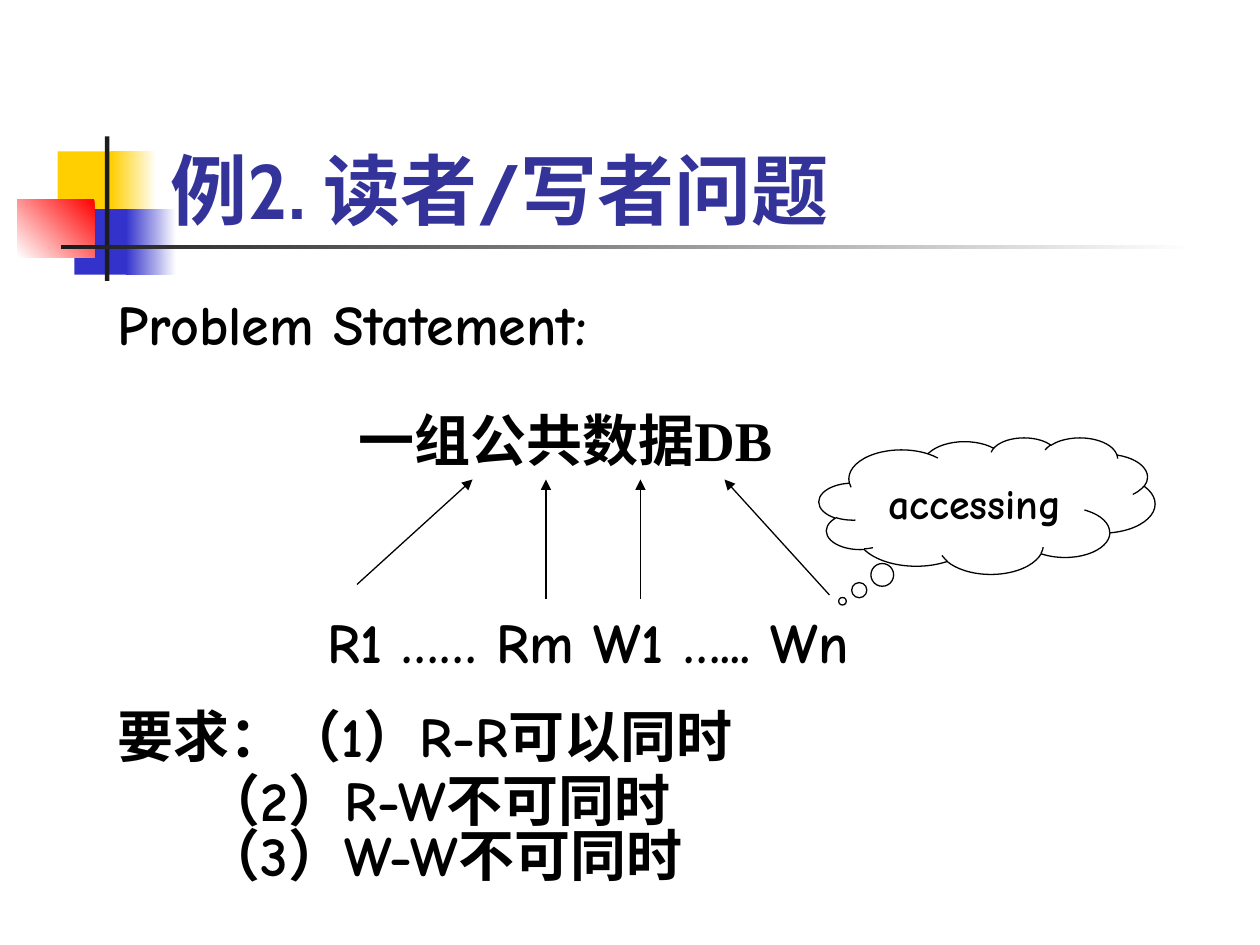
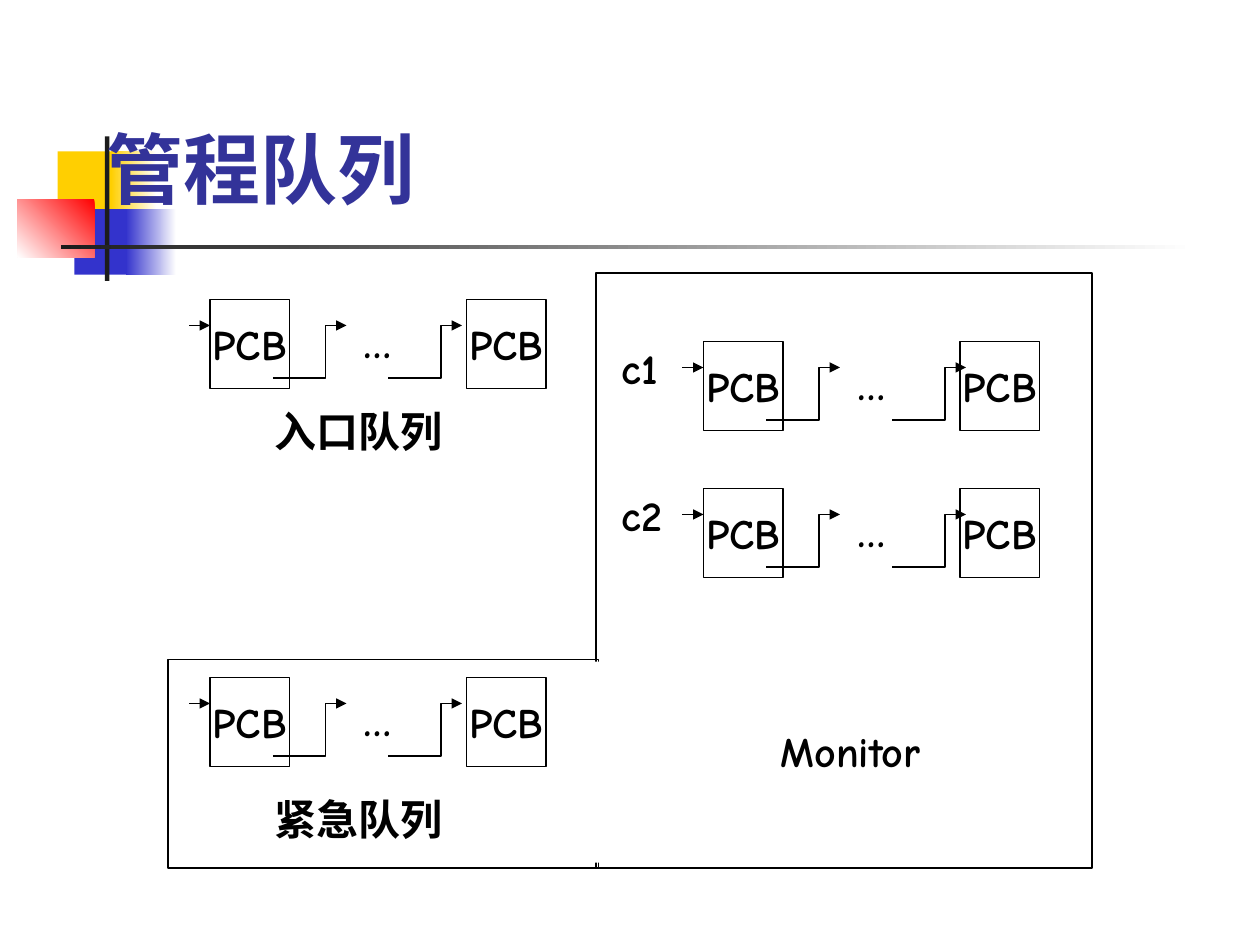
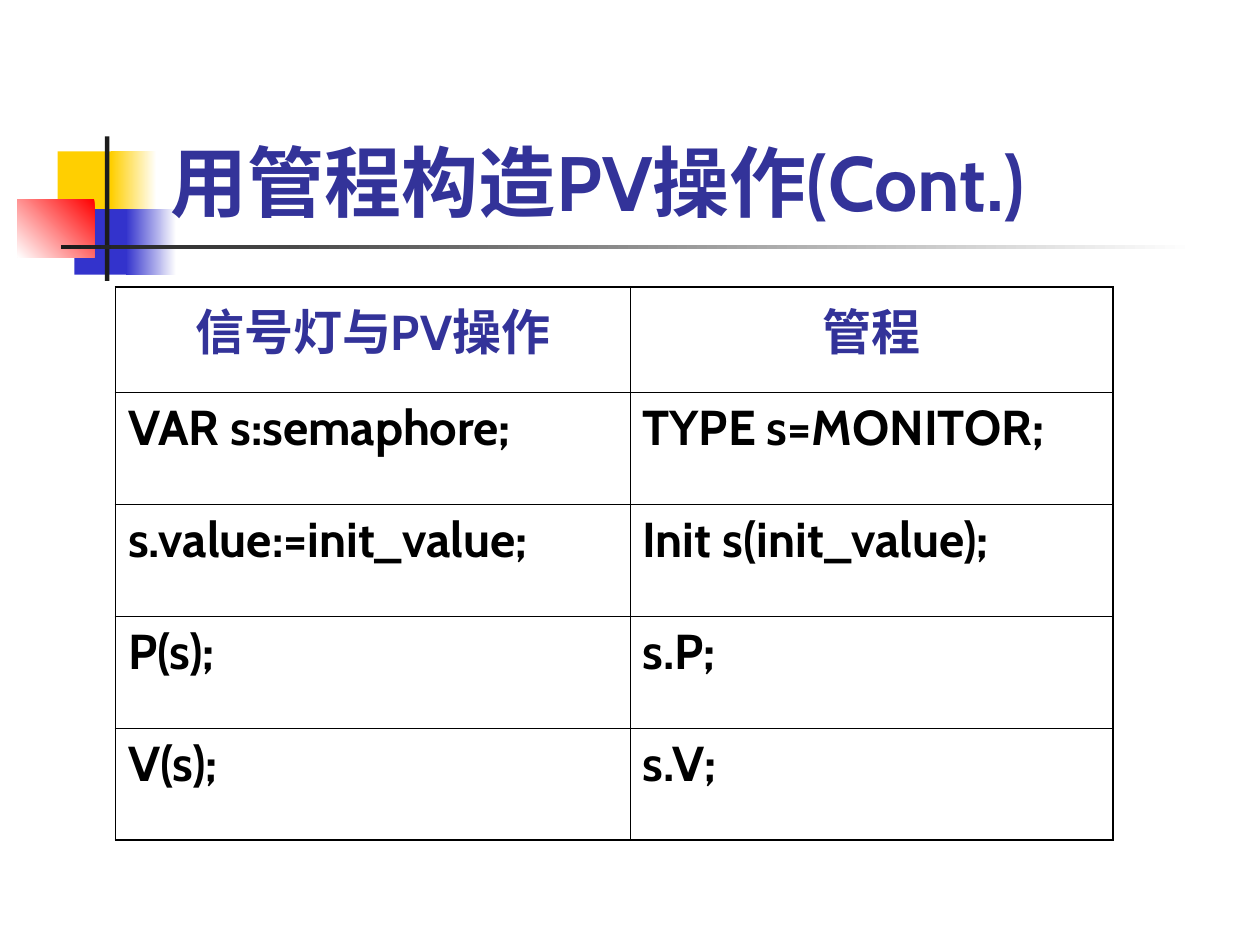
"""Builds three slides on readers/writers, monitor queues and PV operations."""
from dataclasses import dataclass
from typing import Any, Optional

from lxml.etree import SubElement
from pptx import Presentation
from pptx.dml.color import RGBColor
from pptx.enum.shapes import MSO_CONNECTOR, MSO_SHAPE
from pptx.enum.text import MSO_ANCHOR, PP_ALIGN
from pptx.oxml.ns import qn
from pptx.util import Pt


@dataclass(frozen=True)
class Theme:
    """Colours, fonts, type sizes and line widths of the deck."""
    black: str = "000000"
    white: str = "FFFFFF"
    ink: str = "1C1C1C"
    title: str = "333399"
    yellow: str = "FFCF01"
    blue: str = "3333CC"
    red: str = "FF0000"
    heading_font: str = "Cabin"
    body_font: str = "Comic Neue"
    serif_font: str = "Times New Roman"
    title_size: float = 44
    body_size: float = 32
    table_size: float = 28
    label_size: float = 24
    line_width: float = 0.75
    outer_border: float = 1.08
    inner_border: float = 0.45


@dataclass(frozen=True)
class Area:
    """A rectangle in points."""
    left: float
    top: float
    width: float
    height: float

    def lengths(self) -> list[Pt]:
        """Return the four lengths for a shape call."""
        return [Pt(self.left), Pt(self.top), Pt(self.width), Pt(self.height)]


@dataclass(frozen=True)
class Block:
    """A filled rectangle of the title ornament."""
    area: Area
    start: str
    end: Optional[str] = None
    angle: float = 180


@dataclass(frozen=True)
class Line:
    """One body paragraph with its spans of text and font."""
    spans: list[tuple[str, str]]
    indent: float = 0
    before: float = 20
    spacing: float = 1.0


@dataclass(frozen=True)
class Queue:
    """A chain of process control blocks."""
    left: float
    top: float
    second_link: float


THEME = Theme()
ORNAMENT = [
    Block(Area(33, 86.5, 34.5, 37.5), THEME.yellow),
    Block(Area(63.5, 86.5, 26, 37.5), THEME.white, THEME.yellow),
    Block(Area(42.5, 119.5, 33, 37.5), THEME.blue),
    Block(Area(72, 119.5, 28.8, 37.5), THEME.white, THEME.blue),
    Block(Area(10, 113.75, 44, 33.25), THEME.red, THEME.white, 225),
    Block(Area(60, 78, 2.5, 82.5), THEME.ink),
    Block(Area(34.75, 140.25, 648, 2.25), THEME.white, THEME.ink),
]
BODY_LINES = [
    Line([("Problem Statement:", THEME.body_font)], before=0),
    Line([("一组公共数据DB", THEME.serif_font)], indent=137.5, spacing=1.2),
    Line([("R1 …… Rm W1 …... Wn", THEME.body_font)], indent=120, before=77),
    Line([("要求", THEME.serif_font), ("：（1）R-R可以同时", THEME.body_font)], spacing=0.9),
    Line([("（2）R-W不可同时", THEME.body_font)], indent=50, spacing=0.3),
    Line([("（3）W-W不可同时", THEME.body_font)], indent=50, spacing=0.3),
]
ACCESS_ARROWS = [
    (204, 334, 270, 274),
    (312, 342, 312, 274),
    (366, 342, 366, 274),
    (474, 340, 414, 274),
]
QUEUES = [
    Queue(402, 195, 108),
    Queue(402, 279, 108),
    Queue(120, 171, 102),
    Queue(120, 387, 102),
]
QUEUE_LABELS = [
    ("c1", Area(348, 192, 42, 36)),
    ("c2", Area(348, 276, 48, 36)),
    ("入口队列", Area(150, 228, 120, 36)),
    ("紧急队列", Area(150, 450, 120, 36)),
]
TABLE_ROWS = [
    ("信号灯与PV操作", "管程"),
    ("VAR s:semaphore;", "TYPE s=MONITOR;"),
    ("s.value:=init_value;", "Init s(init_value);"),
    ("P(s);", "s.P;"),
    ("V(s);", "s.V;"),
]


def add_span(para: Any, text: str, *, font: str = THEME.body_font,
             size: float = THEME.label_size, color: str = THEME.black,
             align: PP_ALIGN = PP_ALIGN.LEFT) -> None:
    """Append bold text to a paragraph in the given format."""
    para.alignment = align
    span = para.add_run()
    span.text = text
    span.font.name = font
    span.font.size = Pt(size)
    span.font.bold = True
    span.font.color.rgb = RGBColor.from_string(color)


def add_box(page: Any, area: Area, *, wrap: bool = True,
            anchor: MSO_ANCHOR = MSO_ANCHOR.TOP) -> Any:
    """Add a text box and return its text frame."""
    frame = page.shapes.add_textbox(*area.lengths()).text_frame
    frame.word_wrap = wrap
    frame.vertical_anchor = anchor
    return frame


def add_centred(frame: Any, text: str) -> None:
    """Write a label in the middle of a frame without wrapping."""
    frame.word_wrap = False
    frame.vertical_anchor = MSO_ANCHOR.MIDDLE
    add_span(frame.paragraphs[0], text, align=PP_ALIGN.CENTER)


def style_line(shape: Any, arrow: bool = False) -> None:
    """Give a shape or connector the thin black line."""
    shape.line.color.rgb = RGBColor.from_string(THEME.black)
    shape.line.width = Pt(THEME.line_width)
    if arrow:
        SubElement(shape.element.spPr.get_or_add_ln(), qn("a:tailEnd"), type="triangle")


def add_outline(page: Any, area: Area, text: str = "",
                kind: MSO_SHAPE = MSO_SHAPE.RECTANGLE) -> Any:
    """Add an unfilled outlined shape with an optional centred label."""
    shape = page.shapes.add_shape(kind, *area.lengths())
    shape.shadow.inherit = False
    shape.fill.background()
    style_line(shape)
    if text:
        add_centred(shape.text_frame, text)
    return shape


def add_block(page: Any, block: Block) -> None:
    """Add a solid or gradient rectangle without a line."""
    shape = page.shapes.add_shape(MSO_SHAPE.RECTANGLE, *block.area.lengths())
    shape.shadow.inherit = False
    shape.line.fill.background()
    if block.end is None:
        shape.fill.solid()
        shape.fill.fore_color.rgb = RGBColor.from_string(block.start)
        return
    shape.fill.gradient()
    shape.fill.gradient_angle = block.angle
    for stop, color in zip(shape.fill.gradient_stops, (block.start, block.end)):
        stop.color.rgb = RGBColor.from_string(color)


def add_arrow(page: Any, *ends: float) -> None:
    """Add a straight arrow from the first point to the second."""
    arrow = page.shapes.add_connector(MSO_CONNECTOR.STRAIGHT, *map(Pt, ends))
    style_line(arrow, arrow=True)
    SubElement(arrow.element.spPr, qn("a:effectLst"))


def add_link(page: Any, left: float, top: float) -> None:
    """Add a stepped arrow that rises from one block to the next."""
    builder = page.shapes.build_freeform(Pt(left), Pt(top + 30))
    steps = [(30, 30), (30, 0), (42, 0)]
    builder.add_line_segments([(Pt(left + x), Pt(top + y)) for x, y in steps], close=False)
    link = builder.convert_to_shape()
    link.shadow.inherit = False
    link.fill.background()
    style_line(link, arrow=True)


def add_queue(page: Any, queue: Queue) -> None:
    """Draw two process blocks joined through an ellipsis."""
    for offset in (0, 146.5):
        add_outline(page, Area(queue.left + offset, queue.top, 45.5, 51), "PCB")
    level = queue.top + 15
    for offset in (36, queue.second_link):
        add_link(page, queue.left + offset, level)
    add_centred(add_box(page, Area(queue.left + 78, level, 36, 18)), "…")
    add_arrow(page, queue.left - 12, level, queue.left, level)


def start_page(deck: Any) -> Any:
    """Add a blank page with the shared ornament."""
    page = deck.slides.add_slide(deck.slide_layouts[6])
    for block in ORNAMENT:
        add_block(page, block)
    return page


def add_title(page: Any, text: str, area: Area) -> None:
    """Add the page title."""
    frame = add_box(page, area, anchor=MSO_ANCHOR.BOTTOM)
    add_span(frame.paragraphs[0], text, font=THEME.heading_font,
             size=THEME.title_size, color=THEME.title)


def add_body(page: Any) -> None:
    """Write the problem statement."""
    frame = add_box(page, Area(60, 162, 612, 346))
    for index, line in enumerate(BODY_LINES):
        para = frame.add_paragraph() if index else frame.paragraphs[0]
        para.line_spacing = line.spacing
        para.space_before = Pt(line.before)
        properties = para._p.get_or_add_pPr()
        properties.set("marL", str(Pt(line.indent)))
        properties.set("indent", "0")
        for text, font in line.spans:
            add_span(para, text, font=font, size=THEME.body_size)


def set_borders(cell: Any, widths: dict[str, float]) -> None:
    """Set the four border widths of a cell."""
    properties = cell._tc.get_or_add_tcPr()
    for side, width in widths.items():
        border = SubElement(properties, qn(f"a:ln{side}"), w=str(Pt(width)))
        fill = SubElement(border, qn("a:solidFill"))
        SubElement(fill, qn("a:srgbClr"), val=THEME.black)


def add_comparison(page: Any) -> None:
    """Add the table that sets semaphores beside monitors."""
    last = len(TABLE_ROWS) - 1
    area = Area(66, 164, 570, 316)
    table = page.shapes.add_table(len(TABLE_ROWS), 2, *area.lengths()).table
    table.first_row = table.horz_banding = False
    for column, width in zip(table.columns, (294, 276)):
        column.width = Pt(width)
    for row, texts in enumerate(TABLE_ROWS):
        table.rows[row].height = Pt(64 if row else 60)
        for column, text in enumerate(texts):
            cell = table.cell(row, column)
            outer = {"L": column == 0, "R": column == 1, "T": row == 0, "B": row == last}
            set_borders(cell, {side: THEME.outer_border if edge else THEME.inner_border
                               for side, edge in outer.items()})
            cell.fill.background()
            add_span(cell.text_frame.paragraphs[0], text,
                     font=THEME.heading_font, size=THEME.table_size,
                     color=THEME.black if row else THEME.title,
                     align=PP_ALIGN.LEFT if row else PP_ALIGN.CENTER)


def build_readers_writers(deck: Any) -> None:
    """Build the readers and writers page."""
    page = start_page(deck)
    add_title(page, "例2. 读者/写者问题", Area(90.5, 48, 613.5, 90))
    add_body(page)
    for ends in ACCESS_ARROWS:
        add_arrow(page, *ends)
    cloud = add_outline(page, Area(468, 250, 192, 78), "accessing", MSO_SHAPE.CLOUD_CALLOUT)
    cloud.adjustments[0] = -0.43
    cloud.adjustments[1] = 0.7


def build_monitor_queues(deck: Any) -> None:
    """Build the monitor queues page."""
    page = start_page(deck)
    add_outline(page, Area(96, 377, 246, 119))
    add_title(page, "管程队列", Area(54, 36, 612, 90))
    add_outline(page, Area(340.5, 156, 283.5, 340))
    for queue in QUEUES:
        add_queue(page, queue)
    for text, area in QUEUE_LABELS:
        add_span(add_box(page, area).paragraphs[0], text)
    add_centred(add_box(page, Area(402, 408, 168, 42)), "Monitor")
    add_block(page, Block(Area(336, 378, 12, 115), THEME.white))


def build_pv_table(deck: Any) -> None:
    """Build the page that constructs PV operations with a monitor."""
    page = start_page(deck)
    add_title(page, "用管程构造PV操作(Cont.)", Area(90.5, 49, 613.5, 84))
    add_comparison(page)


def main() -> None:
    """Build and save the deck."""
    deck = Presentation()
    deck.slide_width, deck.slide_height = Pt(720), Pt(540)
    build_readers_writers(deck)
    build_monitor_queues(deck)
    build_pv_table(deck)
    deck.save("out.pptx")


if __name__ == "__main__":
    main()
